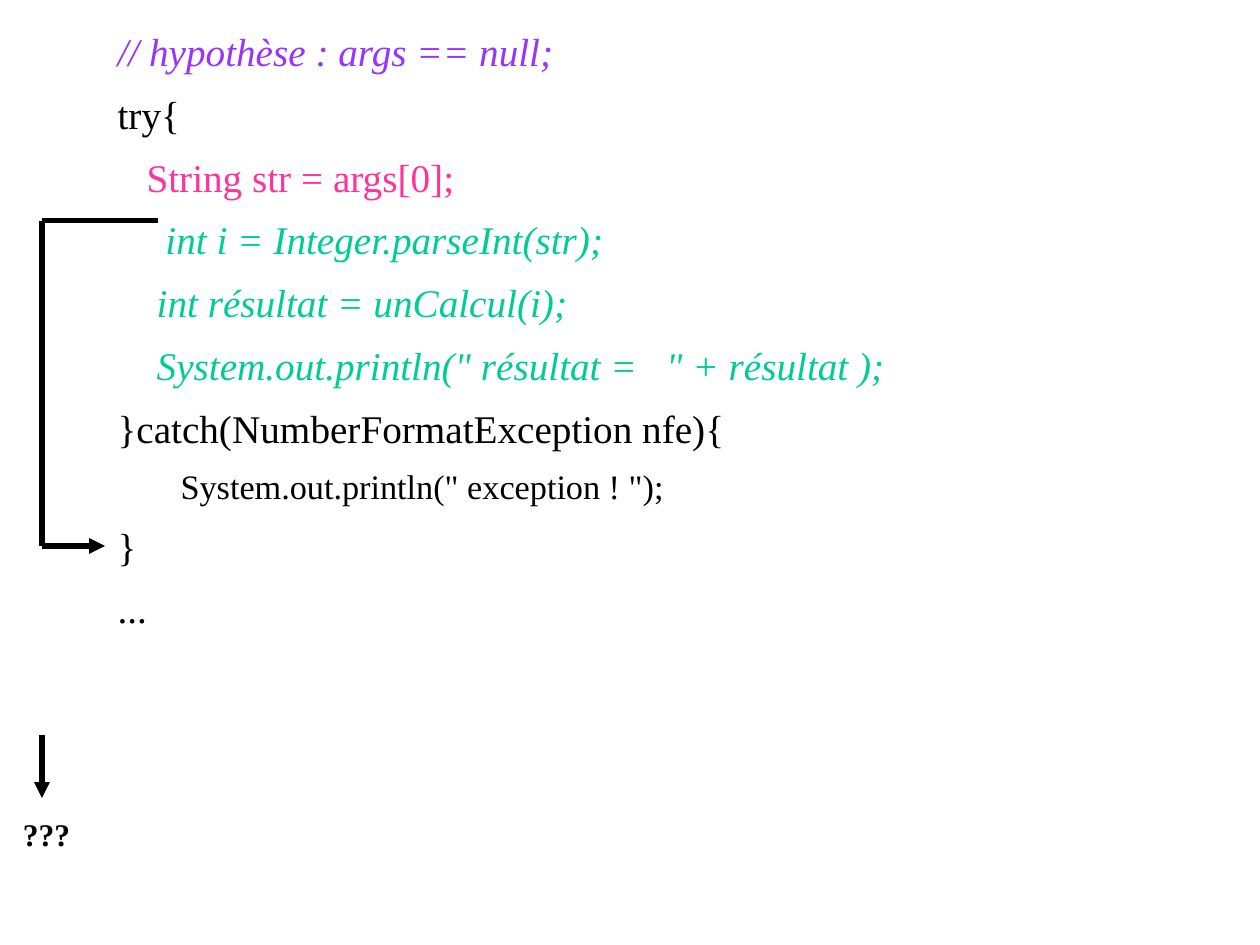
from pptx import Presentation
from pptx.dml.color import RGBColor
from pptx.enum.shapes import MSO_CONNECTOR
from pptx.enum.text import MSO_ANCHOR, MSO_AUTO_SIZE, PP_ALIGN
from pptx.oxml.ns import qn
from pptx.util import Inches, Pt
from lxml import etree

STRAIGHT = MSO_CONNECTOR.STRAIGHT
TOP = MSO_ANCHOR.TOP
NO_FIT = MSO_AUTO_SIZE.NONE
LEFT = PP_ALIGN.LEFT

FONT = "Times New Roman"
BLACK, VIOLET, PINK, GREEN = "000000", "9933FF", "FF3399", "00CC99"

prs = Presentation()
prs.slide_width, prs.slide_height = Inches(10), Inches(7.5)
U = prs.slide_width // 120  # grid step: 120 columns by 90 rows
slide = prs.slides.add_slide(prs.slide_layouts[1])


def add_run(p, text, size, color, bold=False, italic=False):
    r = p.add_run()
    r.text = text
    f = r.font
    f.name, f.size, f.bold, f.italic = FONT, Pt(size), bold, italic
    f.color.rgb = RGBColor.from_string(color)


def add_line(x1, y1, x2, y2, arrow=False):
    c = slide.shapes.add_connector(STRAIGHT, x1 * U, y1 * U, x2 * U, y2 * U)
    c.line.width = Pt(3)
    c.line.color.rgb = RGBColor.from_string(BLACK)
    if arrow:
        etree.SubElement(c.line._get_or_add_ln(), qn("a:tailEnd"), type="triangle")
    etree.SubElement(c._element.spPr, qn("a:effectLst"))


# Code listing: text, colour, italic, indent in inches, level
code = [
    ("// hypothèse : args == null;", VIOLET, True, 0, 0),
    ("try{", BLACK, False, 0, 0),
    ("String str = args[0];", PINK, False, 0.23, 0),
    ("int i = Integer.parseInt(str);", GREEN, True, 0.38, 0),
    ("int résultat = unCalcul(i);", GREEN, True, 0.31, 0),
    ('System.out.println(" résultat =   " + résultat );', GREEN, True, 0.31, 0),
    ("}catch(NumberFormatException nfe){", BLACK, False, 0, 0),
    ('System.out.println(" exception ! ");', BLACK, False, 0.5, 1),
    ("}", BLACK, False, 0, 0),
    ("...", BLACK, False, 0, 0),
]
sizes, gaps = (22.4, 19.6), (9, 8)

title, body = slide.placeholders
title._element.getparent().remove(title._element)
body.left, body.top, body.width, body.height = 10 * U, 2 * U, 108 * U, 60 * U
tf = body.text_frame
tf.auto_size, tf.vertical_anchor, tf.word_wrap = NO_FIT, TOP, True
for i, (text, color, italic, indent, level) in enumerate(code):
    p = tf.add_paragraph() if i else tf.paragraphs[0]
    p.level, p.alignment, p.space_before = level, LEFT, Pt(gaps[level])
    pPr = p._p.get_or_add_pPr()
    pPr.set("marL", str(Inches(indent)))
    pPr.set("indent", "0")
    etree.SubElement(pPr, qn("a:buNone"))
    add_run(p, text, sizes[level], color, italic=italic)

# Jump from the failing line to the end of the catch block
add_line(15, 21, 4, 21)
add_line(4, 21, 4, 52)
add_line(4, 52, 10, 52, arrow=True)

# Unhandled exit
add_line(4, 70, 4, 76, arrow=True)
sp = slide.shapes.add_textbox(U, 77 * U, 7 * U, 5 * U)
sp.text_frame.word_wrap = False
add_run(sp.text_frame.paragraphs[0], "???", 18, BLACK, bold=True)

prs.save("out.pptx")
